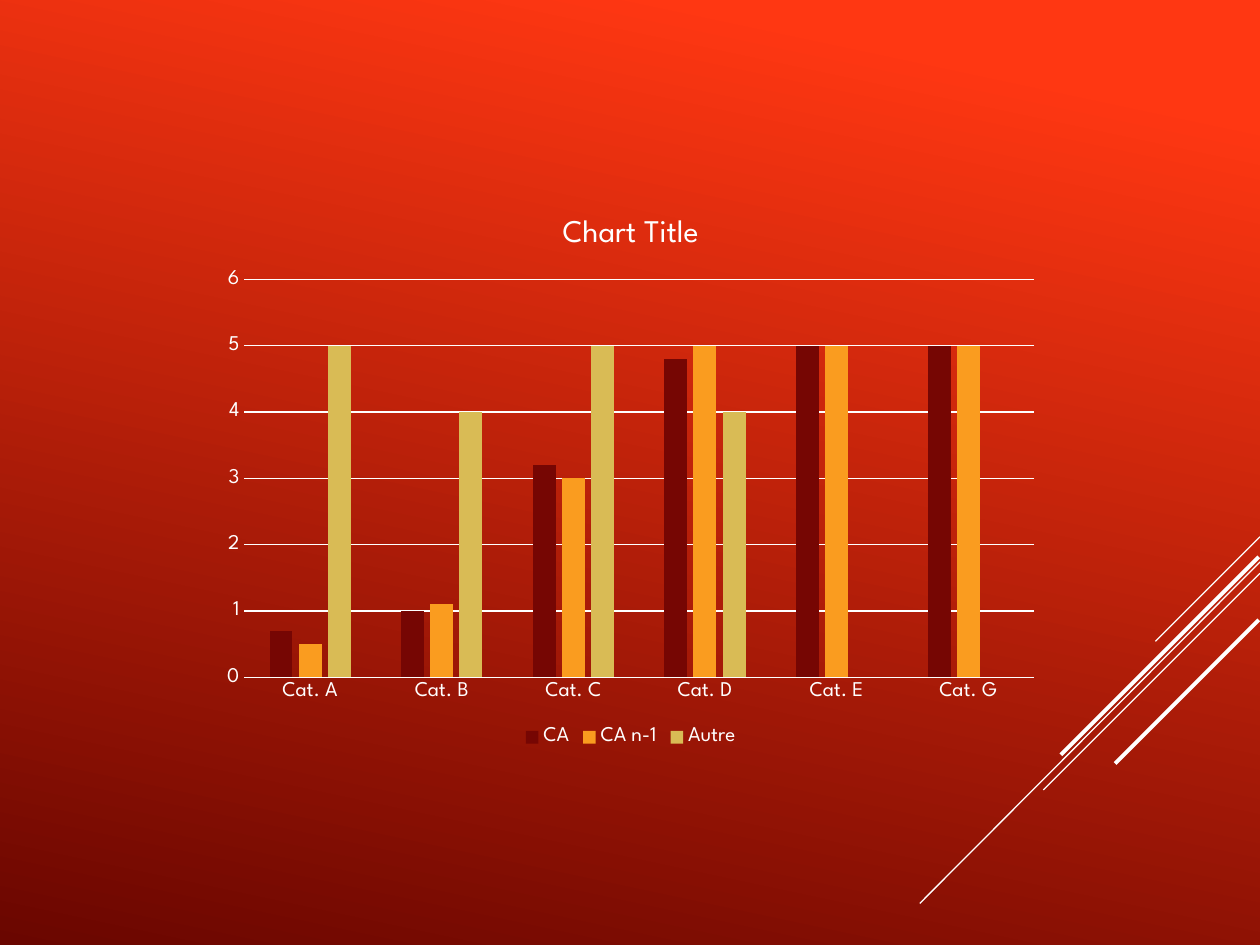
from typing import Any, NamedTuple

from lxml import etree
from pptx import Presentation
from pptx.chart.data import CategoryChartData
from pptx.dml.color import RGBColor
from pptx.enum.chart import XL_CHART_TYPE, XL_LEGEND_POSITION, XL_TICK_MARK
from pptx.enum.shapes import MSO_CONNECTOR
from pptx.oxml.ns import qn
from pptx.util import Inches, Pt

COLUMNS = XL_CHART_TYPE.COLUMN_CLUSTERED
BOTTOM = XL_LEGEND_POSITION.BOTTOM
NO_TICK = XL_TICK_MARK.NONE
STRAIGHT = MSO_CONNECTOR.STRAIGHT
FONT = "League Spartan"
WHITE = "FFFFFF"


class Stripe(NamedTuple):
    x1: float
    y1: float
    x2: float
    y2: float
    width: float


class Series(NamedTuple):
    name: str
    values: list[float | None]
    color: str


STRIPES = [
    Stripe(10, 4.26, 9.17, 5.09, 0.75),
    Stripe(10, 4.46, 7.3, 7.17, 0.75),
    Stripe(10, 4.55, 8.28, 6.27, 0.75),
    Stripe(9.99, 4.42, 8.42, 5.99, 2.25),
    Stripe(9.99, 4.92, 8.85, 6.06, 2.25),
]
CATS = ["Cat. A", "Cat. B", "Cat. C", "Cat. D", "Cat. E", "Cat. G"]
SERIES = [
    Series("CA", [0.7, 1, 3.2, 4.8, 5, 5], "760603"),
    Series("CA n-1", [0.5, 1.1, 3, 5, 5, 5], "FA9C1F"),
    Series("Autre", [5, 4, 5, 4, None, None], "D9BB55"),
]


def rgb(code: str) -> RGBColor:
    return RGBColor.from_string(code)


def set_font(font: Any, size: float) -> None:
    font.name = FONT
    font.size = Pt(size)
    font.bold = False
    font.color.rgb = rgb(WHITE)


def set_line(line: Any, width: float) -> None:
    line.color.rgb = rgb(WHITE)
    line.width = Pt(width)


def paint_back(slide: Any) -> None:
    fill = slide.background.fill
    fill.gradient()
    fill.gradient_angle = 360 - 102  # counted counter-clockwise
    stops = [(0.1, "FF3712"), (1, "6A0600")]
    for stop, (place, code) in zip(fill.gradient_stops, stops):
        stop.position = place
        stop.color.rgb = rgb(code)


def draw_stripe(slide: Any, stripe: Stripe) -> None:
    ends = [Inches(n) for n in stripe[:4]]
    line = slide.shapes.add_connector(STRAIGHT, *ends)
    set_line(line.line, stripe.width)
    etree.SubElement(line._element.spPr, qn("a:effectLst"))


def draw_chart(slide: Any) -> None:
    data = CategoryChartData()
    data.categories = CATS
    for item in SERIES:
        data.add_series(item.name, item.values)
    chart = slide.shapes.add_chart(
        COLUMNS, Inches(1.67), Inches(1.53), Inches(6.67), Inches(4.44), data
    ).chart
    set_font(chart.font, 10)

    # Title and legend
    chart.has_title = True
    title = chart.chart_title
    title.include_in_layout = False
    title.text_frame.text = "Chart Title"
    set_font(title.text_frame.paragraphs[0].runs[0].font, 18)
    chart.has_legend = True
    chart.legend.position = BOTTOM
    chart.legend.include_in_layout = False
    set_font(chart.legend.font, 12)

    # Axes
    for axis in (chart.category_axis, chart.value_axis):
        axis.major_tick_mark = axis.minor_tick_mark = NO_TICK
        set_font(axis.tick_labels.font, 12)
    set_line(chart.category_axis.format.line, 0.75)
    scale = chart.value_axis
    scale.minimum_scale, scale.maximum_scale, scale.major_unit = 0, 6, 1
    scale.format.line.fill.background()
    set_line(scale.major_gridlines.format.line, 0.75)

    # Columns
    plot = chart.plots[0]
    plot.gap_width, plot.overlap = 219, -27
    plot.vary_by_categories = False
    for bars, item in zip(plot.series, SERIES):
        bars.invert_if_negative = False
        bars.format.fill.solid()
        bars.format.fill.fore_color.rgb = rgb(item.color)


def main() -> None:
    deck = Presentation()
    deck.slide_width, deck.slide_height = Inches(10), Inches(7.5)
    slide = deck.slides.add_slide(deck.slide_layouts[6])
    paint_back(slide)
    for stripe in STRIPES:
        draw_stripe(slide, stripe)
    draw_chart(slide)
    deck.save("out.pptx")


if __name__ == "__main__":
    main()
